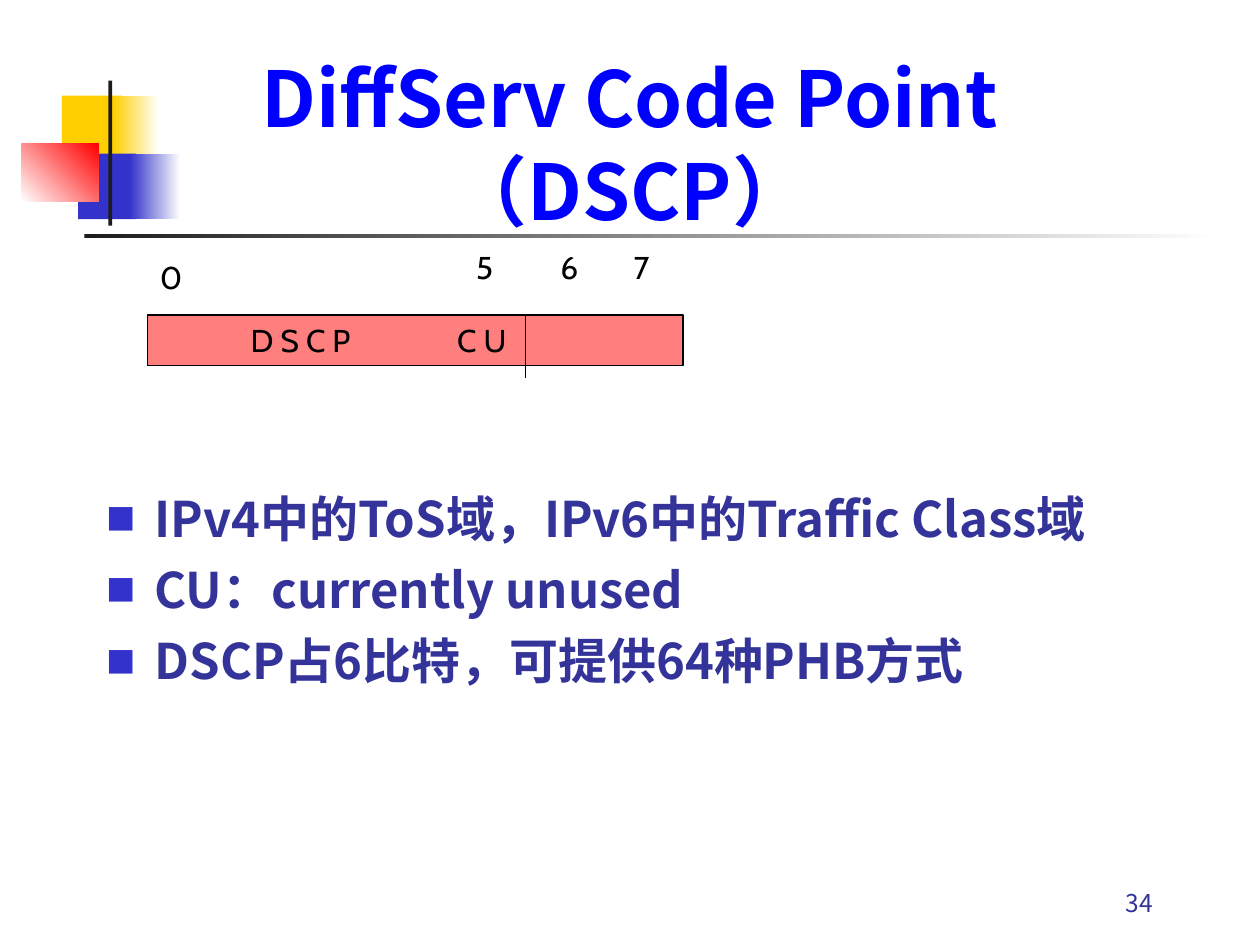
import pptx
import pptx.dml.color
import pptx.enum.shapes
import pptx.enum.text
import pptx.oxml
import pptx.oxml.ns
import pptx.util
from pptx.util import Inches

RGBColor = pptx.dml.color.RGBColor
ALIGN = pptx.enum.text.PP_ALIGN
ANCHOR = pptx.enum.text.MSO_ANCHOR

WHITE = RGBColor(0xFF, 0xFF, 0xFF)
BLACK = RGBColor(0, 0, 0)
CHARCOAL = RGBColor(0x1C, 0x1C, 0x1C)
YELLOW = RGBColor(0xFF, 0xCF, 0x01)
BLUE = RGBColor(0x33, 0x33, 0xCC)
RED = RGBColor(0xFF, 0, 0)
TITLE_BLUE = RGBColor(0, 0, 0xFF)
TEXT_BLUE = RGBColor(0x33, 0x33, 0x99)

MAIN_FONT = "Noto Sans CJK JP"
FIELD_FONT = "Cabin"


def add_xml(parent, tag, **attributes):
    element = pptx.oxml.parse_xml(f"<a:{tag} {pptx.oxml.ns.nsdecls('a')}/>")
    for name, value in attributes.items():
        element.set(name, str(value))
    parent.append(element)
    return element


def add_run(paragraph, text, size, color, font=MAIN_FONT, bold=False):
    run = paragraph.add_run()
    run.text = text
    run.font.size = pptx.util.Pt(size)
    run.font.bold = bold
    run.font.color.rgb = color
    run.font.name = font
    add_xml(run.font._element, "ea", typeface=font)


def add_text_box(slide, box, anchor=ANCHOR.TOP, wrap=True):
    frame = slide.shapes.add_textbox(*map(Inches, box)).text_frame
    frame.word_wrap = wrap
    frame.vertical_anchor = anchor
    return frame


def add_rectangle(slide, box, color, end_color=None, angle=0):
    """Add a borderless rectangle, shaded towards end_color if one is given."""
    shape = slide.shapes.add_shape(
        pptx.enum.shapes.MSO_SHAPE.RECTANGLE, *map(Inches, box))
    shape.shadow.inherit = False
    shape.line.fill.background()
    if end_color is None:
        shape.fill.solid()
        shape.fill.fore_color.rgb = color
    else:
        shape.fill.gradient()
        shape.fill.gradient_angle = angle
        for stop, stop_color in zip(shape.fill.gradient_stops, (color, end_color)):
            stop.color.rgb = stop_color
    return shape


def add_ornament(slide, left, top):
    """Add the coloured squares and the two rules beside the title."""
    def part(x, y, width, height, *fill):
        add_rectangle(slide, (left + x, top + y, width, height), *fill)

    part(0.32, 0.12, 0.48, 0.52, YELLOW)
    part(0.73, 0.12, 0.36, 0.52, YELLOW, WHITE)
    part(0.45, 0.58, 0.46, 0.52, BLUE)
    part(0.86, 0.58, 0.4, 0.52, BLUE, WHITE)
    part(0, 0.5, 0.61, 0.46, WHITE, RED, 45)
    part(0.69, 0, 0.03, 1.15, CHARCOAL)
    part(0.5, 1.22, 9, 0.03, CHARCOAL, WHITE)


def add_title(slide, box, text):
    paragraph = add_text_box(slide, box, ANCHOR.BOTTOM).paragraphs[0]
    paragraph.alignment = ALIGN.CENTER
    add_run(paragraph, text, 44, TITLE_BLUE, bold=True)


def add_bullets(slide, box, items):
    frame = add_text_box(slide, box)
    for index, item in enumerate(items):
        paragraph = frame.add_paragraph() if index else frame.paragraphs[0]
        paragraph.space_before = pptx.util.Pt(7)
        properties = paragraph._p.get_or_add_pPr()
        properties.set("marL", str(Inches(0.38)))
        properties.set("indent", str(-Inches(0.38)))
        add_xml(add_xml(properties, "buClr"), "srgbClr", val=BLUE)
        add_xml(properties, "buSzPct", val=60000)
        add_xml(properties, "buFont", typeface=MAIN_FONT)
        add_xml(properties, "buChar", char="■")
        add_run(paragraph, item, 28, TEXT_BLUE, bold=True)


def add_page_number(slide, box, number):
    paragraph = add_text_box(slide, box, ANCHOR.BOTTOM).paragraphs[0]
    paragraph.alignment = ALIGN.RIGHT
    add_run(paragraph, number, 14, TEXT_BLUE)


def add_bit_field(slide, left, top, width, height):
    """Add the eight-bit field with its bit numbers and divider."""
    bar = add_rectangle(slide, (left, top, width, height), RED)
    color = bar.fill._xPr.find(".//" + pptx.oxml.ns.qn("a:srgbClr"))
    add_xml(color, "alpha", val=50000)
    bar.line.color.rgb = BLACK
    bar.line.width = pptx.util.Pt(0.75)
    frame = bar.text_frame
    frame.word_wrap = True
    frame.vertical_anchor = ANCHOR.TOP
    paragraph = frame.paragraphs[0]
    paragraph.alignment = ALIGN.LEFT
    tabs = add_xml(paragraph._p.get_or_add_pPr(), "tabLst")
    for position in (0.72, 2.36):
        add_xml(tabs, "tab", pos=Inches(position), algn="l")
    add_run(paragraph, "\tD S C P\tC U", 18, BLACK, FIELD_FONT)

    bits = (("0", 0, -0.5, 0.58), ("5", 2.51, -0.58, 0.34),
            ("6", 3.18, -0.58, 0.34), ("7", 3.76, -0.58, 0.34))
    for bit, x, y, label_width in bits:
        label = add_text_box(slide, (left + x, top + y, label_width, 0.4),
                             wrap=bit == "0")
        add_run(label.paragraphs[0], bit, 18, BLACK, FIELD_FONT)

    divider = slide.shapes.add_connector(
        pptx.enum.shapes.MSO_CONNECTOR.STRAIGHT,
        *map(Inches, (left + 3, top, left + 3, top + 0.5)))
    divider.line.color.rgb = BLACK
    divider.line.width = pptx.util.Pt(0.75)
    add_xml(divider._element.spPr, "effectLst")


def main():
    presentation = pptx.Presentation()
    presentation.slide_width = Inches(10)
    presentation.slide_height = Inches(7.5)
    slide = presentation.slides.add_slide(presentation.slide_layouts[6])
    add_ornament(slide, 0.17, 0.64)
    add_title(slide, (0.75, 0.67, 8.5, 1.25), "DiffServ Code Point（DSCP）")
    add_bullets(slide, (0.75, 3.83, 8.5, 2.83), (
        "IPv4中的ToS域，IPv6中的Traffic Class域",
        "CU：currently unused",
        "DSCP占6比特，可提供64种PHB方式",
    ))
    add_page_number(slide, (7.17, 6.83, 2.08, 0.5), "34")
    add_bit_field(slide, 1.17, 2.5, 4.25, 0.4)
    presentation.save("out.pptx")


if __name__ == "__main__":
    main()
